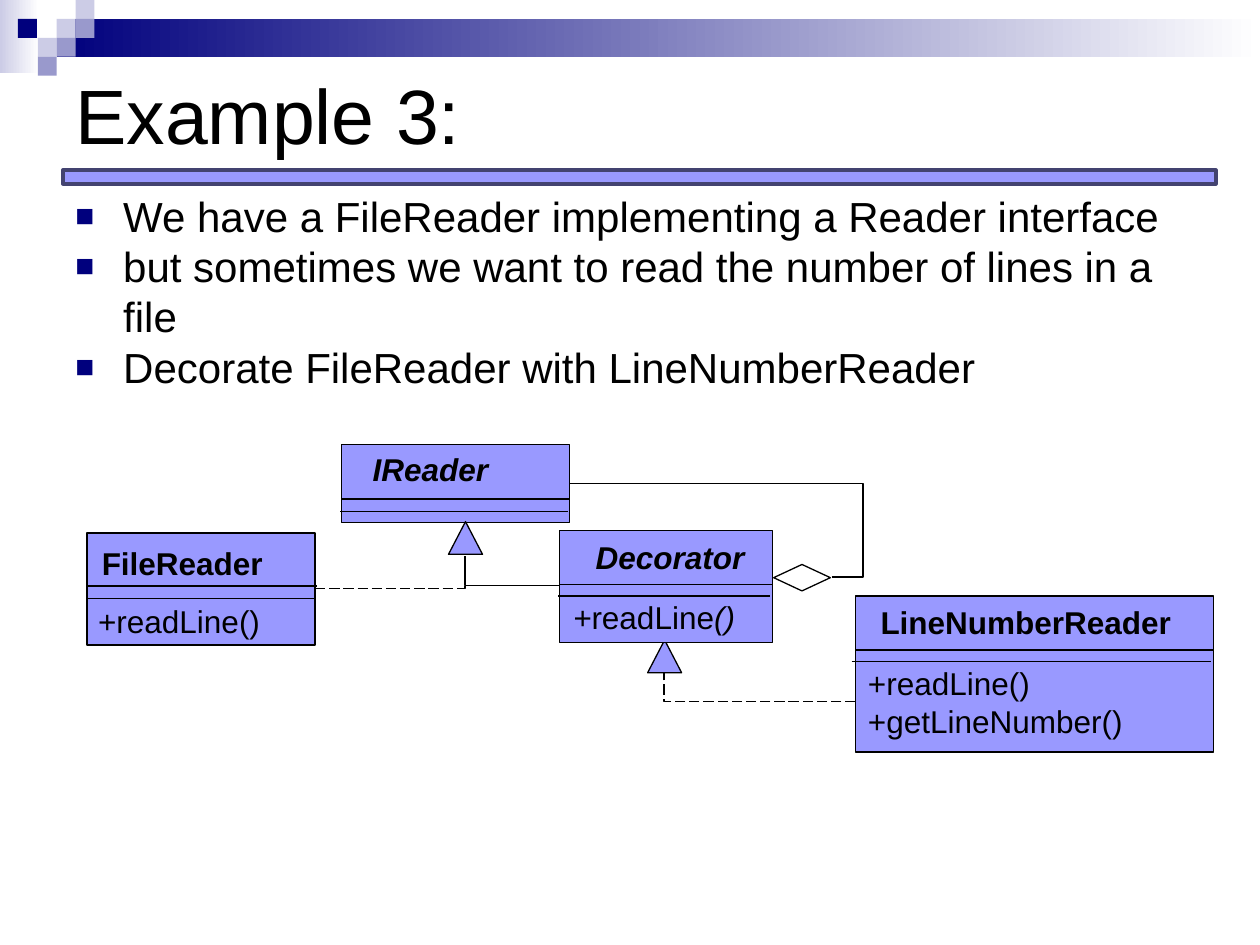
"""Build the decorator pattern slide with its class diagram."""
from lxml import etree
from pptx import Presentation
from pptx.dml.color import RGBColor
from pptx.enum.dml import MSO_LINE
from pptx.enum.shapes import MSO_CONNECTOR as CONN, MSO_SHAPE as SHAPE
from pptx.enum.text import MSO_ANCHOR as ANCHOR, PP_ALIGN
from pptx.oxml.ns import qn
from pptx.util import Inches, Pt

COLORS = {
    "black": "000000", "white": "FFFFFF", "navy": "00007D", "pale": "CCCCE6",
    "mid": "9999CC", "violet": "9999FF", "edge": "434370",
}
TITLE = "Example 3:"
BULLETS = [
    "We have a FileReader implementing a Reader interface",
    "but sometimes we want to read the number of lines in a file",
    "Decorate FileReader with LineNumberReader",
]
BANDS = [((0, 0, 0.31, 0.58), "pale"), ((0.45, 0.15, 9.55, 0.3), "navy")]
CELL = 0.15
CHECKER = [
    (3, 1, "pale"), (4, 0, "pale"), (4, 1, "mid"), (2, 2, "pale"),
    (0.95, 1, "navy"), (3, 2, "mid"), (2, 3, "mid"),
]
CLASSES = [
    {"box": (2.71, 3.53, 1.81, 0.62), "rules": [(2.71, 4.52, 3.96), (2.7, 4.51, 4.06)],
     "name": "IReader", "name_at": (2.86, 3.52, 1.41, 0.71), "abstract": True},
    {"box": (0.69, 4.23, 1.81, 0.89), "rules": [(0.69, 2.52, 4.65), (0.69, 2.49, 4.75)],
     "name": "FileReader", "name_at": (0.71, 4.27, 1.66, 0.4),
     "methods": ["+readLine()"], "methods_at": (0.68, 4.73, 1.49, 0.4)},
    {"box": (6.79, 4.73, 2.84, 1.24), "rules": [(6.79, 9.63, 5.16), (6.76, 9.61, 5.25)],
     "name": "LineNumberReader", "name_at": (6.89, 4.74, 2.77, 0.4),
     "methods": ["+readLine()", "+getLineNumber()"], "methods_at": (6.79, 5.22, 2.22, 0.7)},
]
DECORATOR = {
    "box": (4.44, 4.21, 1.69, 0.89), "rules": [(4.44, 6.13, 4.64), (4.43, 6.11, 4.73)],
    "name": "Decorator", "name_at": (4.63, 4.22, 1.8, 0.4), "abstract": True,
    "methods": [[("+", True), ("readLine", False), ("()", True)]],
    "methods_at": (4.45, 4.7, 1.49, 0.4),
}
TRIANGLES = [(3.56, 4.14, 0.27, 0.26), (5.14, 5.08, 0.27, 0.26)]
DIAMOND = (6.14, 4.48, 0.45, 0.21)
INHERITANCE = [
    ((6.79, 5.57), (5.27, 5.34), True),
    ((4.44, 4.65), (3.69, 4.41), False),
    ((2.5, 4.67), (3.69, 4.41), True),
]
AGGREGATION = ((6.6, 4.58), (4.52, 3.84))
AGGREGATION_BEND = -12000


def rgb(name):
    return RGBColor.from_string(COLORS[name])


def add_shape(s, kind, at, fill=None, line=None, width=0.75, fade=False):
    sp = s.shapes.add_shape(kind, *map(Inches, at))
    sp.shadow.inherit = False
    if fade:
        sp.fill.gradient()
        sp.fill.gradient_angle = 0
        for stop, color in zip(sp.fill.gradient_stops, (fill, "white")):
            stop.color.rgb = rgb(color)
    elif fill:
        sp.fill.solid()
        sp.fill.fore_color.rgb = rgb(fill)
    else:
        sp.fill.background()
    if line:
        sp.line.color.rgb = rgb(line)
        sp.line.width = Pt(width)
    else:
        sp.line.fill.background()
    return sp


def add_line(s, start, end, kind=CONN.STRAIGHT, dashed=False):
    cx = s.shapes.add_connector(kind, *map(Inches, start + end))
    cx.line.color.rgb = rgb("black")
    cx.line.width = Pt(0.75)
    if dashed:
        cx.line.dash_style = MSO_LINE.LONG_DASH
    etree.SubElement(cx._element.spPr, qn("a:effectLst"))
    return cx


def add_elbow(s, start, end, dashed=False, bend=None):
    geom = add_line(s, start, end, CONN.ELBOW, dashed)._element.spPr.find(qn("a:prstGeom"))
    if bend is None:
        geom.set("prst", "bentConnector2")
    else:
        guides = geom.find(qn("a:avLst"))
        etree.SubElement(guides, qn("a:gd"), name="adj1", fmla=f"val {bend}")


def add_bullet(p):
    pPr = p._p.get_or_add_pPr()
    pPr.set("marL", str(Inches(0.38)))
    pPr.set("indent", str(-Inches(0.38)))
    color = etree.SubElement(pPr, qn("a:buClr"))
    etree.SubElement(color, qn("a:srgbClr"), val=COLORS["navy"])
    etree.SubElement(pPr, qn("a:buSzPct"), val="75000")
    etree.SubElement(pPr, qn("a:buFont"), typeface="Arial")
    etree.SubElement(pPr, qn("a:buChar"), char="■")


def add_text(s, lines, at, size=18, bold=False, italic=False, wrap=True,
             anchor=ANCHOR.TOP, bullets=False):
    tf = s.shapes.add_textbox(*map(Inches, at)).text_frame
    tf.word_wrap = wrap
    tf.vertical_anchor = anchor
    for i, line in enumerate(lines):
        p = tf.add_paragraph() if i else tf.paragraphs[0]
        p.alignment = PP_ALIGN.LEFT
        if bullets:
            add_bullet(p)
        for text, slanted in [(line, italic)] if isinstance(line, str) else line:
            r = p.add_run()
            r.text = text
            r.font.name = "Arial"
            r.font.size = Pt(size)
            r.font.bold = bold
            r.font.italic = slanted
            r.font.color.rgb = rgb("black")


def add_class(s, item):
    add_shape(s, SHAPE.RECTANGLE, item["box"], "violet", "black")
    for left, right, y in item["rules"]:
        add_line(s, (left, y), (right, y))
    add_text(s, [item["name"]], item["name_at"], bold=True,
             italic=item.get("abstract", False))
    if "methods" in item:
        add_text(s, item["methods"], item["methods_at"], wrap=False)


def main():
    prs = Presentation()
    prs.slide_width, prs.slide_height = Inches(10), Inches(7.5)
    s = prs.slides.add_slide(prs.slide_layouts[6])
    for at, color in BANDS:
        add_shape(s, SHAPE.RECTANGLE, at, color, fade=True)
    for col, row, color in CHECKER:
        add_shape(s, SHAPE.RECTANGLE, (col * CELL, row * CELL, CELL, CELL), color)
    add_shape(s, SHAPE.RECTANGLE, (0.5, 1.35, 9.15, 0.11), "violet", "edge", 2)
    add_text(s, [TITLE], (0.5, 0.15, 9, 1.5), size=44, anchor=ANCHOR.MIDDLE)
    add_text(s, BULLETS, (0.5, 1.46, 9, 2.11), size=24, bullets=True)
    for item in CLASSES:
        add_class(s, item)
    for at in TRIANGLES:
        add_shape(s, SHAPE.ISOSCELES_TRIANGLE, at, "violet", "black")
    for start, end, dashed in INHERITANCE:
        add_elbow(s, start, end, dashed)
    add_class(s, DECORATOR)
    add_shape(s, SHAPE.DIAMOND, DIAMOND, line="black")
    add_elbow(s, *AGGREGATION, bend=AGGREGATION_BEND)
    prs.save("out.pptx")


if __name__ == "__main__":
    main()
